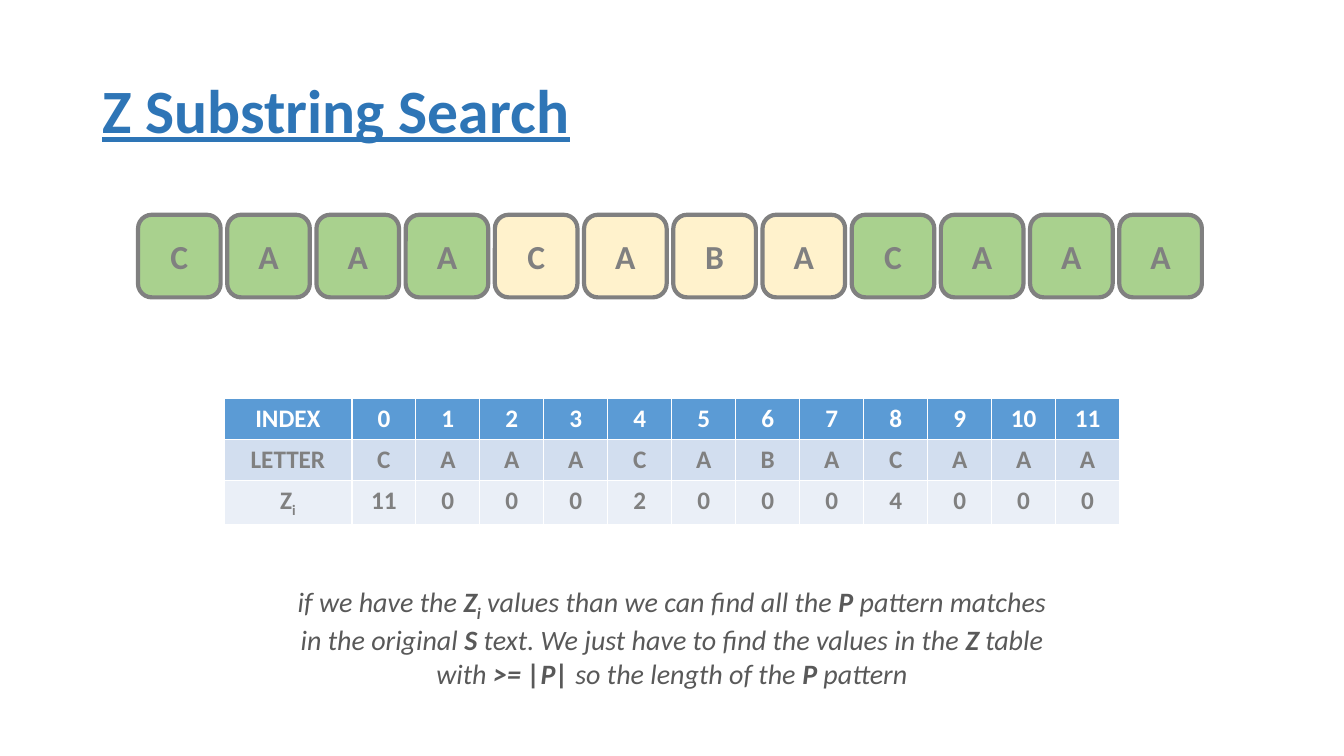
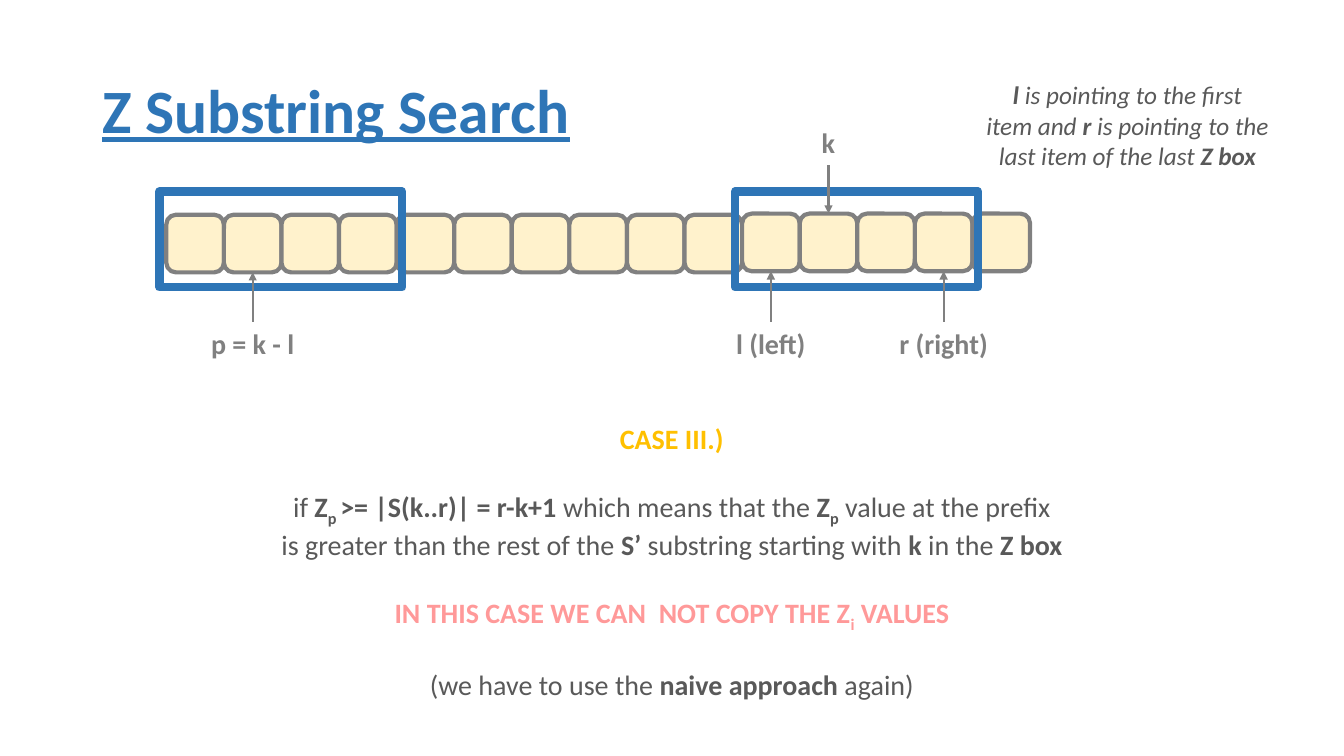
import lxml.etree
import pptx
import pptx.dml.color
import pptx.enum.shapes
import pptx.enum.text
import pptx.oxml.ns
import pptx.util

Pt = pptx.util.Pt
SHAPE = pptx.enum.shapes.MSO_SHAPE
ALIGN = pptx.enum.text.PP_ALIGN

BLUE, GRAY, DARK = "2E75B6", "808080", "595959"
GREEN, CREAM, WHITE = "A9D18E", "FFF2CC", "FFFFFF"
GOLD, PINK = "FFC000", "FF9999"


def rgb(code):
    """Turn a hex string into a colour."""
    return pptx.dml.color.RGBColor.from_string(code)


def write(frame, text, size=20, color=GRAY, bold=True, italic=False,
          underline=False, align=ALIGN.CENTER, gap=0, leading=1.0):
    """Add one paragraph; *...* switches boldness, _..._ lowers the text."""
    paragraph = frame.add_paragraph() if frame.text else frame.paragraphs[0]
    paragraph.alignment = align
    paragraph.space_before = Pt(gap)
    paragraph.line_spacing = leading
    for starred, chunk in enumerate(text.split("*")):
        for lowered, piece in enumerate(chunk.split("_")):
            if not piece:
                continue
            run = paragraph.add_run()
            run.text = piece
            font = run.font
            font.name, font.size = "Calibri", Pt(size)
            font.bold = bold != bool(starred % 2)
            font.italic, font.underline = italic, underline
            font.color.rgb = rgb(color)
            if lowered % 2:
                font._element.set("baseline", "-25000")


deck = pptx.Presentation()
deck.slide_width, deck.slide_height = Pt(960), Pt(540)
search, case = [deck.slides.add_slide(deck.slide_layouts[6]) for _ in range(2)]

# Titles
for slide in (search, case):
    title = slide.shapes.add_textbox(Pt(66), Pt(28.75), Pt(828), Pt(104.4)).text_frame
    title.word_wrap = True
    title.vertical_anchor = pptx.enum.text.MSO_ANCHOR.MIDDLE
    write(title, "Z Substring Search", size=44, color=BLUE, underline=True,
          align=ALIGN.LEFT, leading=0.9)

# Letter boxes
word = "CAAACABACAAA"
row_left, pitch, row_top = 118.8, 41.13, 153.4
boxes = [(search, 98.6 + 63.72 * i, row_top, 59, letter,
          CREAM if 4 <= i < 8 else GREEN) for i, letter in enumerate(word)]
boxes += [(case, row_left + pitch * i, row_top if i < 10 else 152.6, pitch, "", CREAM)
          for i in range(15)]
for slide, left, top, side, letter, fill in boxes:
    box = slide.shapes.add_shape(SHAPE.ROUNDED_RECTANGLE, Pt(left), Pt(top),
                                 Pt(side), Pt(side))
    box.shadow.inherit = False
    box.fill.solid()
    box.fill.fore_color.rgb = rgb(fill)
    box.line.color.rgb = rgb(GRAY)
    box.line.width = Pt(3)
    if letter:
        write(box.text_frame, letter, size=24)

# Z table
z_values = [11, 0, 0, 0, 2, 0, 0, 0, 4, 0, 0, 0]
z_rows = [
    (["INDEX", *range(len(word))], "5B9BD5", WHITE),
    (["LETTER", *word], "D2DEEF", GRAY),
    (["Z_i_", *z_values], "EAEFF7", GRAY),
]
z_table = search.shapes.add_table(len(z_rows), len(word) + 1, Pt(160), Pt(284.6),
                                  Pt(640), Pt(87.6)).table
for i, column in enumerate(z_table.columns):
    column.width = Pt(45.7 if i else 91.4)
for r, (entries, fill, color) in enumerate(z_rows):
    z_table.rows[r].height = Pt(29.2)
    for c, entry in enumerate(entries):
        cell = z_table.cell(r, c)
        cell.fill.solid()
        cell.fill.fore_color.rgb = rgb(fill)
        write(cell.text_frame, str(entry), size=18, color=color)

# Z boxes around the prefix and its later match
for first in (0, 10):
    z_box = case.shapes.add_shape(SHAPE.RECTANGLE, Pt(row_left + pitch * first - 5),
                                  Pt(136.8), Pt(173.5), Pt(68.4))
    z_box.shadow.inherit = False
    z_box.fill.background()
    z_box.line.color.rgb = rgb(BLUE)
    z_box.line.width = Pt(6)

# Pointers: label, box index, label top, arrow start, arrow end
pointers = [
    ("p = k - l", 1, 229.7, 229.7, 194.4),
    ("l (left)", 10, 229.7, 229.7, 193.7),
    ("k", 11, 86.4, 118.1, 152.6),
    ("r (right)", 13, 229.7, 229.7, 193.7),
]
for label, index, label_top, start, end in pointers:
    x = row_left + pitch * (index + 0.5)
    arrow = case.shapes.add_connector(pptx.enum.shapes.MSO_CONNECTOR.STRAIGHT,
                                      Pt(x), Pt(start), Pt(x), Pt(end))
    arrow.line.color.rgb = rgb(GRAY)
    arrow.line.width = Pt(1.5)
    lxml.etree.SubElement(arrow.line._get_or_add_ln(),
                          pptx.oxml.ns.qn("a:tailEnd"), type="triangle")
    lxml.etree.SubElement(arrow._element.spPr, pptx.oxml.ns.qn("a:effectLst"))
    caption = case.shapes.add_textbox(Pt(x - 50), Pt(label_top), Pt(100), Pt(31.7))
    caption.text_frame.word_wrap = True
    write(caption.text_frame, label)

# Explanations: slide, place, then lines with their formats
body = dict(color=DARK, bold=False)
remark = dict(body, italic=True)
small = dict(remark, size=18)
explanations = [
    (search, (200.9, 414, 558, 80), [
        ("if we have the *Z_i_* values than we can find all the *P* pattern matches", remark),
        ("in the original *S* text. We just have to find the values in the *Z* table", remark),
        ("with *>= |P| *so the length of the *P* pattern", remark),
    ]),
    (case, (694.1, 53.3, 222.5, 72.7), [
        ("*l* is pointing to the first", small),
        ("item and *r *is pointing to the", small),
        ("last item of the last *Z box*", small),
    ]),
    (case, (190.8, 297.4, 578.2, 200.9), [
        ("CASE III.)", dict(color=GOLD)),
        ("if *Z_p _>= |S(k..r)| = r-k+1* which means that the *Z_p_* value at the prefix",
         dict(body, gap=24.4)),
        ("is greater than the rest of the *S’* substring starting with *k* in the *Z box*", body),
        ("IN THIS CASE WE CAN  NOT COPY THE Z_i_ VALUES", dict(color=PINK, gap=24.4)),
        ("(we have to use the *naive approach* again)", dict(body, gap=24.4)),
    ]),
]
for slide, place, lines in explanations:
    explanation = slide.shapes.add_textbox(*map(Pt, place)).text_frame
    explanation.word_wrap = True
    for line, style in lines:
        write(explanation, line, **style)

deck.save("out.pptx")
